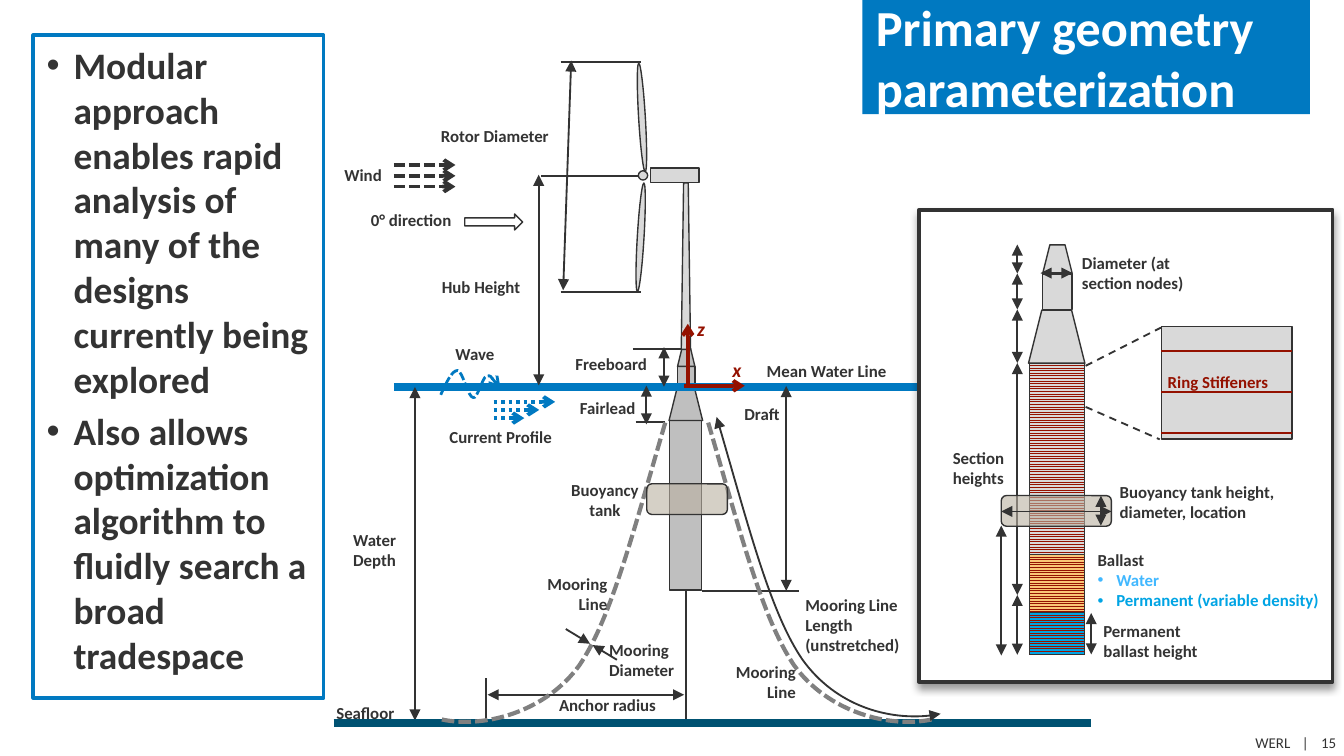
from lxml import etree
from pptx import Presentation
from pptx.dml.color import RGBColor
from pptx.enum.dml import MSO_LINE, MSO_PATTERN
from pptx.enum.shapes import MSO_CONNECTOR, MSO_SHAPE
from pptx.enum.text import MSO_ANCHOR, MSO_AUTO_SIZE, PP_ALIGN
from pptx.oxml.ns import qn
from pptx.util import Pt

RECT, TRAP, OVAL = MSO_SHAPE.RECTANGLE, MSO_SHAPE.TRAPEZOID, MSO_SHAPE.OVAL
ROUND, ARROW = MSO_SHAPE.ROUNDED_RECTANGLE, MSO_SHAPE.RIGHT_ARROW
STRAIGHT = MSO_CONNECTOR.STRAIGHT
DASH, DOT, LONG = MSO_LINE.SQUARE_DOT, MSO_LINE.ROUND_DOT, MSO_LINE.DASH
STRIPES = MSO_PATTERN.LIGHT_HORIZONTAL
LEFT, RIGHT, CENTER = PP_ALIGN.LEFT, PP_ALIGN.RIGHT, PP_ALIGN.CENTER
TOP, MIDDLE, FIXED = MSO_ANCHOR.TOP, MSO_ANCHOR.MIDDLE, MSO_AUTO_SIZE.NONE

INK, WHITE, BLUE, DEEP, RED = "333333", "FFFFFF", "0079C1", "005272", "941100"
STEEL, PALE, GRAY, TANK = "BFBFBF", "D9D9D9", "808080", "BAB1A1"
SAND, SKY, WATER = "FAC676", "00A4E4", "41B8FF"
BOTH = ("triangle", "triangle")
POINT = (None, "triangle")
OPEN = (None, "arrow")
MOOR = [(17, 58), (29, 105), (46, 130), (64, 155), (97, 164), (120, 159)]
SWELL = [(3, -6.5), (6, -13), (9, -13), (12, -12.5), (14.5, 1.5), (17.5, 1.5),
         (19.5, 2.5), (22.5, -9.5), (24.5, -10), (27, -10.5), (29, -7), (32, -3.5)]


def paint(code):
    return RGBColor.from_string(code)


def sub(parent, tag, **attrs):
    node = etree.SubElement(parent, qn(tag))
    for key, value in attrs.items():
        node.set(key, str(value))
    return node


class Sketch:
    font = "Calibri"

    def __init__(self, slide):
        self.slide = slide
        self.shapes = slide.shapes

    def stroke(self, shape, color, width, dash=None, ends=(None, None)):
        line = shape.line
        line.color.rgb = paint(color)
        line.width = Pt(width)
        if dash:
            line.dash_style = dash
        for tag, kind in zip(("a:headEnd", "a:tailEnd"), ends):
            if kind:
                sub(shape._element.spPr.find(qn("a:ln")), tag, type=kind)

    def shape(self, kind, x, y, w, h, fill=None, width=0.75, alpha=None, turn=0, stripe=None):
        item = self.shapes.add_shape(kind, Pt(x), Pt(y), Pt(w), Pt(h))
        item.shadow.inherit = False
        item.rotation = turn
        if stripe:
            item.fill.patterned()
            item.fill.pattern = STRIPES
            item.fill.fore_color.rgb = paint(stripe)
            item.fill.back_color.rgb = paint(fill)
        elif fill:
            item.fill.solid()
            item.fill.fore_color.rgb = paint(fill)
        else:
            item.fill.background()
        if alpha:
            tint = item._element.spPr.find(".//" + qn("a:srgbClr"))
            sub(tint, "a:alpha", val=alpha * 1000)
        self.stroke(item, INK, width)
        return item

    def panel(self, x, y, w, h):
        item = self.shape(RECT, x, y, w, h, WHITE, 2)
        glow = item._element.spPr.find(qn("a:effectLst"))
        shade = sub(glow, "a:outerShdw", blurRad=Pt(4), dist=Pt(3), dir=5400000, rotWithShape=0)
        sub(sub(shade, "a:srgbClr", val="000000"), "a:alpha", val=40000)

    def line(self, x1, y1, x2, y2, color=INK, width=1, dash=None, ends=(None, None)):
        item = self.shapes.add_connector(STRAIGHT, Pt(x1), Pt(y1), Pt(x2), Pt(y2))
        self.stroke(item, color, width, dash, ends)
        sub(item._element.spPr, "a:effectLst")

    def curve(self, x, y, knots, side, color, width, dash=None, ends=(None, None)):
        spots = [(Pt(x + side * dx), Pt(y + dy)) for dx, dy in knots]
        pen = self.shapes.build_freeform(Pt(x), Pt(y))
        pen.add_line_segments(spots[2::3], close=False)
        item = pen.convert_to_shape()
        route = item._element.spPr.find(".//" + qn("a:path"))
        for leg in route.findall(qn("a:lnTo")):
            route.remove(leg)
        for i in range(0, len(spots), 3):
            bend = sub(route, "a:cubicBezTo")
            for px, py in spots[i:i + 3]:
                sub(bend, "a:pt", x=px - item.left, y=py - item.top)
        item.shadow.inherit = False
        item.fill.background()
        self.stroke(item, color, width, dash, ends)

    def style(self, para, size, color, bold=True, italic=False, align=LEFT):
        para.alignment = align
        font = para.font
        font.name, font.size, font.bold, font.italic = self.font, Pt(size), bold, italic
        font.color.rgb = paint(color)

    def bullet(self, para, indent):
        props = para._p.get_or_add_pPr()
        props.set("marL", str(Pt(indent)))
        props.set("indent", str(-Pt(indent)))
        sub(props, "a:buFont", typeface="Arial")
        sub(props, "a:buChar", char="•")

    def text(self, x, y, w, words, rows=1, size=9, color=INK, align=LEFT, **looks):
        box = self.shapes.add_textbox(Pt(x), Pt(y), Pt(w), Pt(rows * size * 1.2))
        frame = box.text_frame
        frame.margin_left = frame.margin_right = frame.margin_top = frame.margin_bottom = 0
        frame.word_wrap = rows > 1
        frame.text = words
        self.style(frame.paragraphs[0], size, color, align=align, **looks)
        return frame

    def holder(self, item, x, y, w, h, fill, anchor):
        item.left, item.top, item.width, item.height = Pt(x), Pt(y), Pt(w), Pt(h)
        item.fill.solid()
        item.fill.fore_color.rgb = paint(fill)
        item.text_frame.auto_size = FIXED
        item.text_frame.vertical_anchor = anchor
        return item.text_frame

    def title(self, words, *place):
        frame = self.holder(self.shapes.title, *place, BLUE, MIDDLE)
        frame.text = words
        self.style(frame.paragraphs[0], 27, WHITE)

    def body(self, items, *place):
        item = self.slide.placeholders[1]
        frame = self.holder(item, *place, WHITE, TOP)
        self.stroke(item, BLUE, 2)
        frame.text = "\n".join(items)
        for i, para in enumerate(frame.paragraphs):
            self.bullet(para, 14.4)
            para.space_before = Pt(4 if i else 0)
            self.style(para, 20, INK)

    def footer(self, x, y, words, stops):
        para = self.text(x, y, 46, words, size=8, bold=False).paragraphs[0]
        tabs = etree.Element(qn("a:tabLst"))
        for stop in stops:
            sub(tabs, "a:tab", pos=Pt(stop), algn="l")
        para._p.get_or_add_pPr().insert(0, tabs)


def turbine(art):
    for kind, *place in [(RECT, 358.6, 225.3, 17.4, 90.8), (TRAP, 358.4, 208.8, 18, 16.5),
                         (RECT, 363, 196.4, 9.3, 10.5), (TRAP, 363, 186.7, 9.3, 9.6)]:
        art.shape(kind, *place, STEEL)
    art.line(211, 207.2, 543, 207.2, BLUE, 4.5)
    for ends in [(376.3, 316.6, 428.3, 316.6), (339, 187.1, 366.5, 187.1),
                 (300.4, 156.4, 343.4, 156.4), (300.4, 33.2, 343.4, 33.2),
                 (340.5, 226, 356.5, 226), (290, 94.1, 344, 94.1),
                 (367.3, 387.4, 367.3, 316), (260.5, 386, 260.5, 363)]:
        art.line(*ends)
    for ends in [(355.7, 186, 355.7, 207.2), (421.2, 206.8, 421.2, 316.6),
                 (222.3, 207.3, 222.3, 386), (288.6, 93.6, 288.6, 206.5),
                 (306, 32.4, 301.7, 155.5), (346.3, 206.6, 346.3, 227.4),
                 (366.5, 372.2, 261.2, 372.2)]:
        art.line(*ends, ends=BOTH)
    art.line(178.8, 387.4, 584.7, 387.4, DEEP, 4.5)
    for x, side in [(356.4, -1), (379.4, 1)]:
        art.curve(x, 226.4, MOOR, side, GRAY, 2.25, DASH)
    art.curve(383.9, 223.4, MOOR, 1, INK, 1, ends=BOTH)
    for kind, *place in [(TRAP, 365, 98, 5, 89.2), (RECT, 348.5, 90, 26, 7.9),
                         (OVAL, 342, 91.5, 5, 5)]:
        art.shape(kind, *place, PALE)
    for x, y, turn in [(341.4, 98, 3.4), (342.1, 33.8, -3.4)]:
        art.shape(OVAL, x, y, 3.6, 58.3, PALE, turn=turn)
    art.shape(ARROW, 249, 114.6, 31, 8.6)
    for y in (88.4, 94.2, 100):
        art.line(211, y, 244, y, INK, 2, DASH, OPEN)
    for y, reach in [(215.3, 33), (219.6, 24.5), (224, 16.5)]:
        art.line(264.4, y, 264.4 + reach, y, BLUE, 2, DOT, OPEN)
    art.curve(236.1, 211.5, SWELL, 1, BLUE, 1.5, DASH, OPEN)
    art.line(368.5, 206, 368.5, 173.5, RED, 2, ends=OPEN)
    art.line(366.5, 206.7, 399, 206.7, RED, 2, ends=OPEN)
    art.shape(ROUND, 346.5, 259.2, 43.2, 16.4, TANK, alpha=60)
    art.line(330.5, 353.5, 317.5, 345.6, ends=POINT)
    art.line(303.1, 337, 316.1, 344.9, ends=POINT)


def labels(art):
    for note in [(236.2, 67.2, 59, "Rotor Diameter"), (184.5, 88.1, 20.2, "Wind"),
                 (236.7, 148.4, 42.5, "Hub Height"), (410.7, 193.4, 65.5, "Mean Water Line"),
                 (244, 184, 21.6, "Wave"), (308.3, 189.6, 38.9, "Freeboard"),
                 (398.8, 216.5, 19.4, "Draft"), (180.2, 376.7, 31.7, "Seafloor"),
                 (198.7, 112.6, 43.9, "0° direction"), (310.7, 213, 30.2, "Fairlead"),
                 (240.8, 228.5, 56.2, "Current Profile"), (299.5, 372.3, 53.3, "Anchor radius"),
                 (189.2, 283.8, 31.7, "Water Depth", 2), (326.3, 342.6, 38.9, "Mooring Diameter", 2),
                 (431.4, 318.4, 62, "Mooring Line Length (unstretched)", 3)]:
        art.text(*note)
    for x, y in [(286.3, 307.3), (387.3, 354.4)]:
        art.text(x, y, 39, "Mooring Line", 2, align=RIGHT)
    art.text(298.5, 257.1, 51.1, "Buoyancy tank", 2, align=CENTER)
    for x, y, name in [(392.4, 191.5, "x"), (373.4, 169.8, "z")]:
        art.text(x, y, 8.6, name, size=10.5, color=RED, italic=True)


def detail(art):
    art.panel(492.4, 112.3, 221.5, 253)
    frame = art.text(588, 294.5, 137.5, "Ballast", 3)
    for words, color in [("Water", WATER), ("Permanent (variable density)", SKY)]:
        para = frame.add_paragraph()
        para.text = words
        art.bullet(para, 10)
        art.style(para, 9, color)
    for y, h, fill in [(194.4, 102.6, PALE), (297, 31.1, SAND), (328.1, 22.5, SKY)]:
        art.shape(RECT, 551.4, y, 29.7, h, fill, stripe=RED)
    for kind, *place in [(TRAP, 551, 166.2, 30.2, 28.4), (RECT, 558.6, 146.9, 15.8, 18.9),
                         (TRAP, 558.6, 131.2, 15.8, 15.3), (RECT, 622.2, 174.9, 70, 60.4)]:
        art.shape(kind, *place, PALE)
    for y in (188, 210, 232):
        art.line(622.2, y, 692.4, y, RED)
    art.line(581.6, 196, 622, 175.5, dash=LONG)
    art.line(581.6, 218, 621.3, 235.4, dash=LONG)
    marks = [131, 146.5, 165.8, 194.5, 318.7, 350.8]
    for top, low in zip(marks, marks[1:]):
        art.line(545, top, 545, low, ends=BOTH)
    art.shape(ROUND, 536.4, 265.5, 59, 16.4, TANK, alpha=60)
    for ends in [(557.4, 146.3, 574.6, 146.3), (584.6, 350.6, 584.6, 328.4),
                 (589.8, 281.6, 589.8, 265.6), (536.4, 274, 595.4, 274),
                 (536.4, 351.2, 536.4, 281.6)]:
        art.line(*ends, ends=BOTH)
    art.text(625.6, 198.9, 55.4, "Ring Stiffeners", color=RED)
    for note in [(510.4, 239.8, 36.7, "Section heights"),
                 (579.6, 135.3, 66.2, "Diameter (at section nodes)"),
                 (591.1, 332.5, 62.6, "Permanent ballast height"),
                 (599.8, 258, 92.9, "Buoyancy tank height, diameter, location")]:
        art.text(*note, 2)


deck = Presentation()
deck.slide_width, deck.slide_height = Pt(720), Pt(405)
art = Sketch(deck.slides.add_slide(deck.slide_layouts[1]))
art.title("Primary geometry parameterization", 462, 0, 239.8, 61.2)
art.body(["Modular approach enables rapid analysis of many of the designs currently being explored",
          "Also allows optimization algorithm to fluidly search a broad tradespace"],
         17.8, 18.9, 155.6, 355)
turbine(art)
labels(art)
detail(art)
art.footer(672.5, 393.1, "WERL\t|\t15", (25, 35.2))
deck.save("out.pptx")
